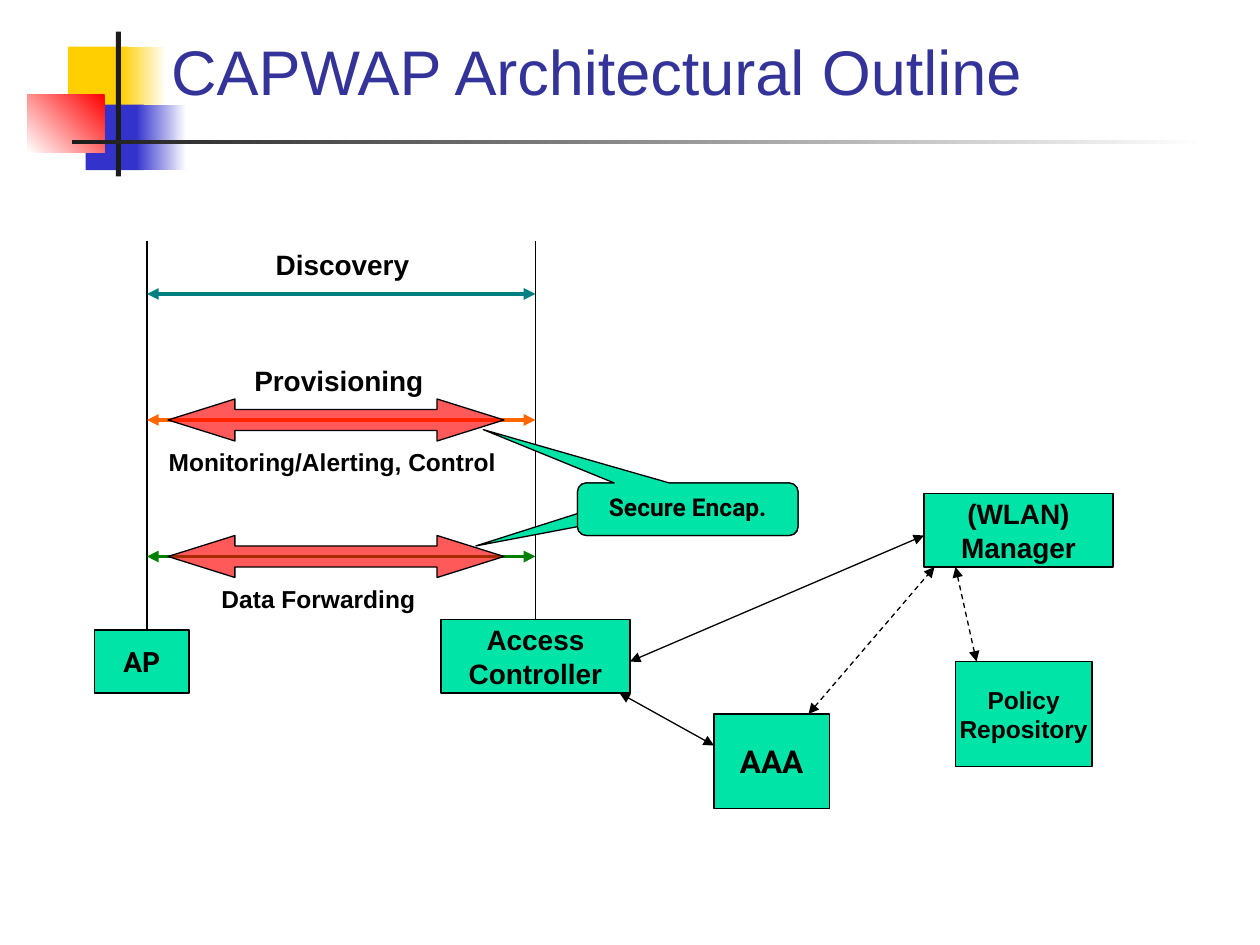
from pptx import Presentation
from pptx.dml.color import RGBColor
from pptx.enum.dml import MSO_LINE
from pptx.enum.shapes import MSO_CONNECTOR, MSO_SHAPE as SHAPE
from pptx.enum.text import MSO_ANCHOR as ANCHOR, PP_ALIGN as ALIGN
from pptx.oxml.ns import qn
from pptx.util import Inches, Pt
from lxml.etree import SubElement

WHITE = RGBColor(0xFF, 0xFF, 0xFF)
BLACK = RGBColor(0, 0, 0)
INK = RGBColor(0x1C, 0x1C, 0x1C)
YELLOW = RGBColor(0xFF, 0xCF, 0x01)
BLUE = RGBColor(0x33, 0x33, 0xCC)
NAVY = RGBColor(0x33, 0x33, 0x99)
RED = RGBColor(0xFF, 0, 0)
MINT = RGBColor(0, 0xE4, 0xA8)
TEAL = RGBColor(0, 0x80, 0x80)
ORANGE = RGBColor(0xFF, 0x66, 0)
GREEN = RGBColor(0, 0x80, 0)

prs = Presentation()
prs.slide_width, prs.slide_height = Inches(10), Inches(7.5)
COLS = 120
UNIT = prs.slide_width / COLS
s = prs.slides.add_slide(prs.slide_layouts[6])


def box(kind, at, text="", size=16, font="Arial", color=BLACK, bold=True, align=ALIGN.CENTER,
        anchor=ANCHOR.MIDDLE, wrap=False, fill=MINT, fade=None, outline=BLACK, adjust=(), alpha=None):
    place = [round(v * UNIT) for v in at]
    if kind is None:
        sp = s.shapes.add_textbox(*place)
    else:
        sp = s.shapes.add_shape(kind, *place)
        sp.shadow.inherit = False
        for i, value in enumerate(adjust):
            sp.adjustments[i] = value
        if fade:
            start, end, angle = fade
            sp.fill.gradient()
            sp.fill.gradient_angle = angle
            for stop, rgb in zip(sp.fill.gradient_stops, (start, end)):
                stop.color.rgb = rgb
        else:
            sp.fill.solid()
            sp.fill.fore_color.rgb = fill
        if alpha:
            srgb = sp.element.spPr.find(qn("a:solidFill")).find(qn("a:srgbClr"))
            SubElement(srgb, qn("a:alpha")).set("val", str(alpha * 1000))
        if outline is None:
            sp.line.fill.background()
        else:
            sp.line.color.rgb = outline
            sp.line.width = Pt(0.75)
    if text:
        tf = sp.text_frame
        tf.word_wrap = wrap
        tf.vertical_anchor = anchor
        for i, row in enumerate(text.split("\n")):
            p = tf.paragraphs[0] if i == 0 else tf.add_paragraph()
            p.alignment = align
            r = p.add_run()
            r.text = row
            r.font.name, r.font.size, r.font.bold = font, Pt(size), bold
            r.font.color.rgb = color


def line(start, end, color=BLACK, width=0.75, arrows=True, dashed=False):
    x1, y1, x2, y2 = [round(v * UNIT) for v in (*start, *end)]
    cx = s.shapes.add_connector(MSO_CONNECTOR.STRAIGHT, x1, y1, x2, y2)
    cx.line.color.rgb = color
    cx.line.width = Pt(width)
    if dashed:
        cx.line.dash_style = MSO_LINE.DASH
    spPr = cx.element.spPr
    if arrows:
        for tag in ("a:headEnd", "a:tailEnd"):
            SubElement(spPr.find(qn("a:ln")), qn(tag)).set("type", "triangle")
    SubElement(spPr, qn("a:effectLst"))


for at, fill, fade in [
    ((6.48, 4.44, 5.76, 6.24), YELLOW, None),
    ((11.52, 4.44, 4.32, 6.24), None, (WHITE, YELLOW, 180)),
    ((8.16, 9.96, 5.52, 6.24), BLUE, None),
    ((12.96, 9.96, 4.8, 6.24), None, (WHITE, BLUE, 180)),
    ((2.64, 9, 7.32, 5.52), None, (RED, WHITE, 225)),
    ((11.04, 3, 0.48, 13.8), INK, None),
    ((6.84, 13.32, 108, 0.4), None, (WHITE, INK, 180)),
]:
    box(SHAPE.RECTANGLE, at, fill=fill, fade=fade, outline=None)

box(None, (15.12, 2.76, 102.24, 8.16), "CAPWAP Architectural Outline", size=36, color=NAVY,
    bold=False, align=ALIGN.LEFT, anchor=ANCHOR.BOTTOM, wrap=True)

AP_X, AC_X = 14, 51
line((AP_X, 23), (AP_X, 60), arrows=False)
line((AC_X, 23), (AC_X, 59), arrows=False)

for y, color, secure in [(28, TEAL, False), (40, ORANGE, True), (53, GREEN, True)]:
    line((AP_X, y), (AC_X, y), color, 2.25)
    if secure:
        box(SHAPE.LEFT_RIGHT_ARROW, (16, y - 2, 32, 4), fill=RED, alpha=65, adjust=(0.5, 1.592))

for text, size, at in [
    ("Discovery", 16, (25.08, 23, 15.12, 4.44)),
    ("Provisioning", 16, (23.04, 34, 18.48, 4.44)),
    ("Monitoring/Alerting, Control", 14, (14.88, 42, 33.6, 4.08)),
    ("Data Forwarding", 14, (19.92, 55, 20.88, 4.08)),
]:
    box(None, at, text, size, align=ALIGN.LEFT, anchor=ANCHOR.TOP)

for text, adjust in [("", (-0.961, 0.7, 0.167)), ("Secure Encap.", (-0.927, -1.517, 0.167))]:
    box(SHAPE.ROUNDED_RECTANGULAR_CALLOUT, (55, 46, 21, 5), text, 14, "Roboto",
        anchor=ANCHOR.TOP, wrap=True, adjust=adjust)

for text, size, font, at in [
    ("AP", 16, "Roboto", (9, 60, 9, 6)),
    ("Access\nController", 16, "Arial", (42, 59, 18, 7)),
    ("(WLAN)\nManager", 16, "Arial", (88, 47, 18, 7)),
    ("AAA", 18, "Roboto", (68, 68, 11, 9)),
    ("Policy\nRepository", 14, "Arial", (91, 63, 13, 10)),
]:
    box(SHAPE.RECTANGLE, at, text, size, font)

for start, end, dashed in [
    ((60, 63), (88, 51), False),
    ((59, 66), (68, 71), False),
    ((77, 68), (89, 54), True),
    ((93, 63), (91, 54), True),
]:
    line(start, end, dashed=dashed)

prs.save("out.pptx")
